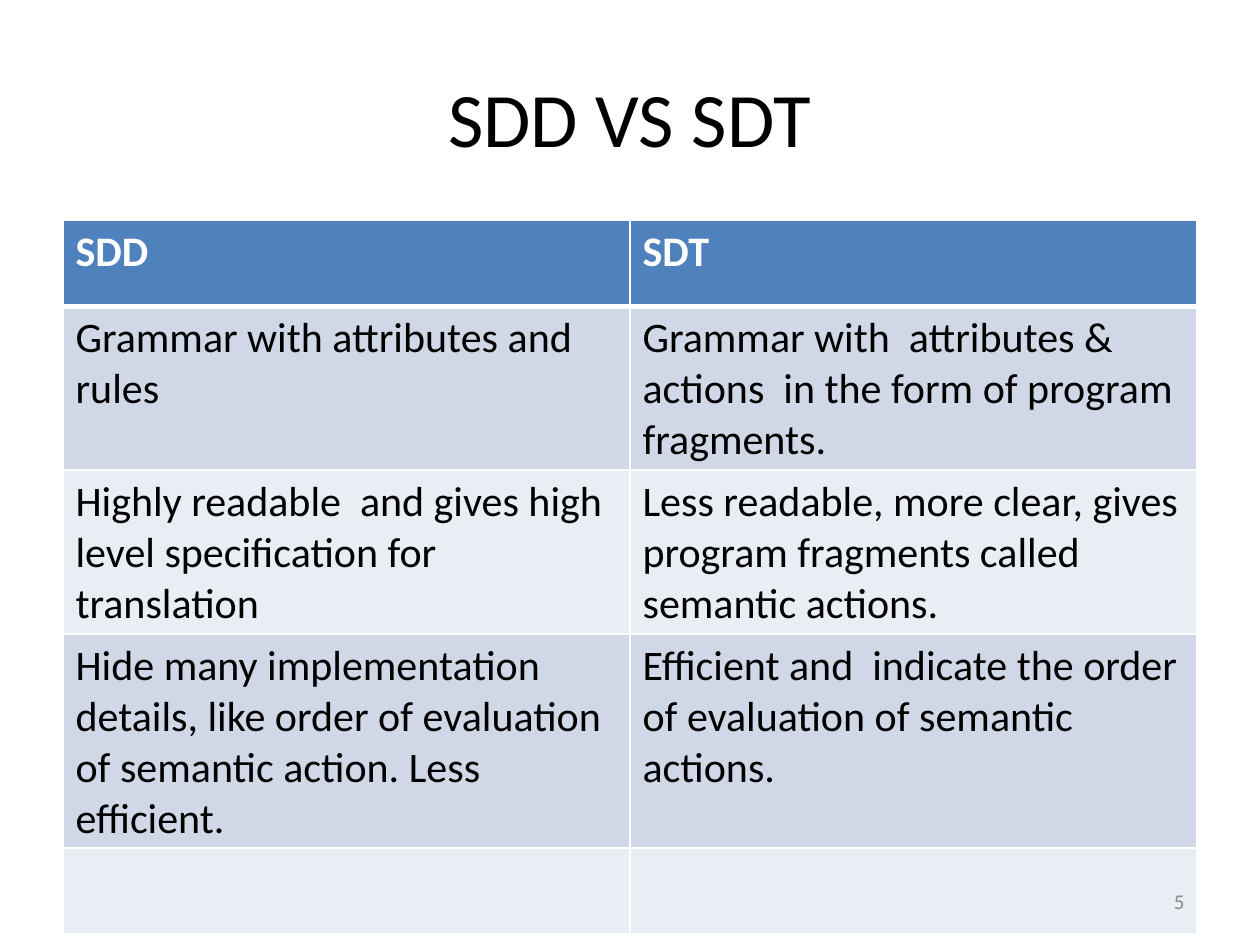
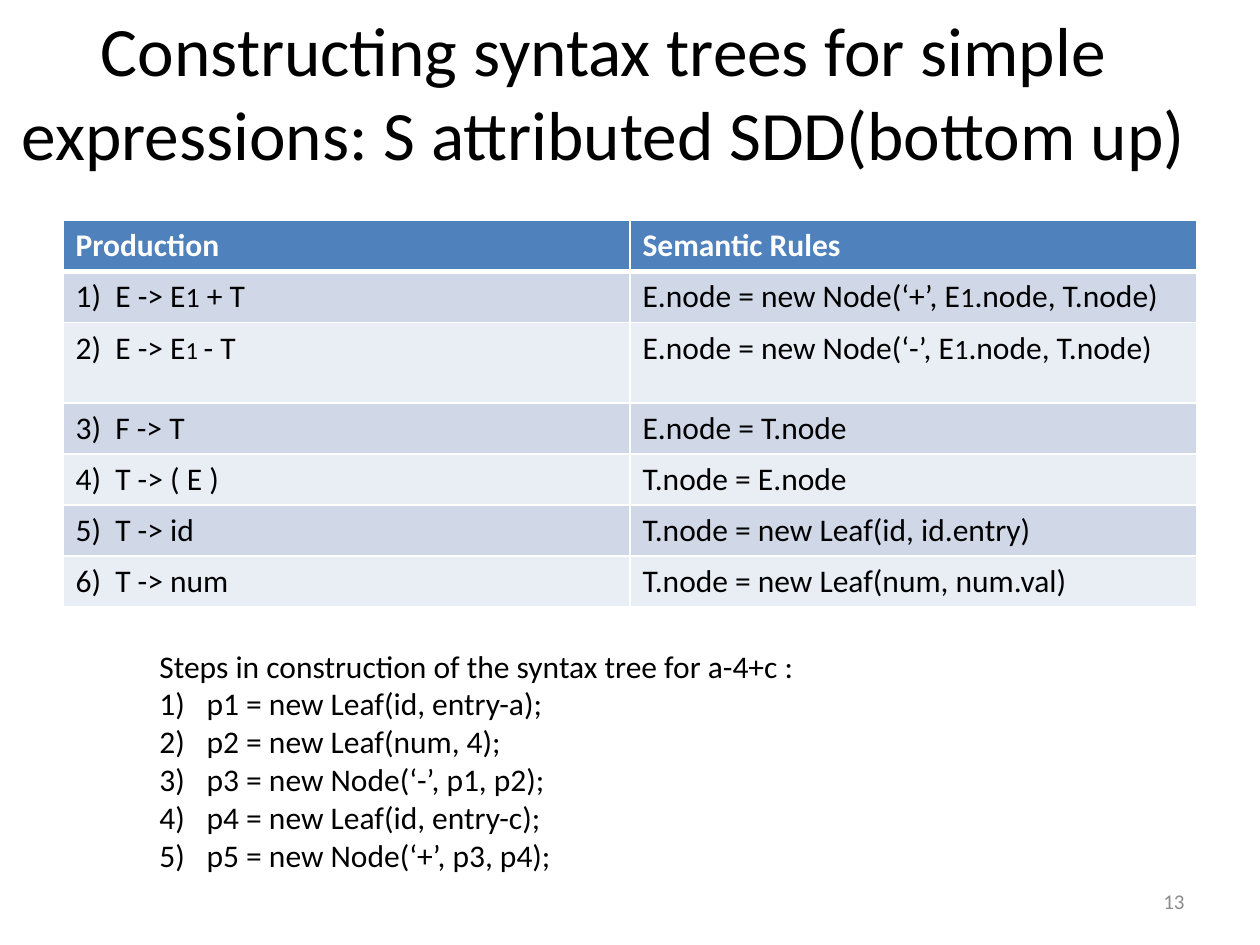
"""Builds two slides on syntax-directed definitions and translation schemes."""
from lxml import etree
from pptx import Presentation
from pptx.dml.color import RGBColor
from pptx.enum import text
from pptx.oxml import ns
from pptx.util import Pt

FONT = "Calibri"
BLACK, WHITE, GREY = "000000", "FFFFFF", "8C8C8C"
HEADER, BANDS = "4F81BD", ("D0D8E8", "E9EDF4")
LEFT, TABLE_TOP, COLUMN = 36, 126, 324


def set_font(paragraph, size, color, bold=False):
    paragraph.font.name = FONT
    paragraph.font.size = Pt(size)
    paragraph.font.bold = bold
    paragraph.font.color.rgb = RGBColor.from_string(color)


def add_text(slide, box, lines, size, color, align, anchor):
    shape = slide.shapes.add_textbox(*[Pt(length) for length in box])
    frame = shape.text_frame
    frame.word_wrap = True
    frame.vertical_anchor = anchor
    frame.text = "\n".join(lines)
    for paragraph in frame.paragraphs:
        paragraph.alignment = align
        set_font(paragraph, size, color)
    return frame


comparison = [
    ("SDD", "SDT"),
    ("Grammar with attributes and rules",
     "Grammar with  attributes & actions  in the form of program fragments."),
    ("Highly readable  and gives high  level specification for translation",
     "Less readable, more clear, gives program fragments called semantic actions."),
    ("Hide many implementation details, like order of evaluation of semantic action. "
     "Less efficient.",
     "Efficient and  indicate the order of evaluation of semantic actions."),
    ("", ""),
]
productions = [
    ("Production", "Semantic Rules"),
    ([("1)  E -> E", 18), ("1", 16), (" + T", 18)],
     [("E.node = new Node(‘+’, E", 18), ("1", 16), (".node, T.node)", 18)]),
    ([("2)  E -> E", 18), ("1 ", 14), ("- T", 18)],
     [("E.node = new Node(‘-’, E", 18), ("1", 16), (".node, T.node)", 18)]),
    ("3)  F -> T", "E.node = T.node"),
    ("4)  T -> ( E )", "T.node = E.node"),
    ("5)  T -> id", "T.node = new Leaf(id, id.entry)"),
    ("6)  T -> num", "T.node = new Leaf(num, num.val)"),
]
steps = [
    "Steps in construction of the syntax tree for a-4+c :",
    "p1 = new Leaf(id, entry-a);",
    "p2 = new Leaf(num, 4);",
    "p3 = new Node(‘-’, p1, p2);",
    "p4 = new Leaf(id, entry-c);",
    "p5 = new Node(‘+’, p3, p4);",
]
pages = [
    ("SDD VS SDT", (LEFT, 21.6, 648, 90), 44, "5",
     comparison, 24, [49, 85, 85, 85, 49]),
    ("Constructing syntax trees for simple expressions: S attributed SDD(bottom up)",
     (-12, 1.4, 714, 101), 39.6, "13",
     productions, 18, [29.2, 29.2, 45.8] + [29.2] * 4),
]

presentation = Presentation()
presentation.slide_width, presentation.slide_height = Pt(720), Pt(540)

for title, title_box, title_size, number, rows, size, heights in pages:
    slide = presentation.slides.add_slide(presentation.slide_layouts[6])
    add_text(slide, title_box, [title], title_size, BLACK,
             text.PP_ALIGN.CENTER, text.MSO_ANCHOR.MIDDLE)

    table = slide.shapes.add_table(len(rows), 2, Pt(LEFT), Pt(TABLE_TOP),
                                   Pt(2 * COLUMN), Pt(sum(heights))).table
    for row, (contents, height) in enumerate(zip(rows, heights)):
        table.rows[row].height = Pt(height)
        for column, content in enumerate(contents):
            cell = table.cell(row, column)
            paragraph = cell.text_frame.paragraphs[0]
            set_font(paragraph, size, BLACK if row else WHITE, bold=row == 0)
            if isinstance(content, str):
                paragraph.text = content
            else:
                for piece, piece_size in content:
                    run = paragraph.add_run()
                    run.text = piece
                    run.font.size = Pt(piece_size)
            cell.fill.solid()
            cell.fill.fore_color.rgb = RGBColor.from_string(
                BANDS[(row - 1) % 2] if row else HEADER)
            properties = cell._tc.get_or_add_tcPr()
            for index, side in enumerate("LRTB"):
                thick = (row, side) in ((0, "B"), (1, "T"))
                line = etree.Element(ns.qn("a:ln" + side), w=str(Pt(3 if thick else 1)))
                fill = etree.SubElement(line, ns.qn("a:solidFill"))
                etree.SubElement(fill, ns.qn("a:srgbClr"), val=WHITE)
                properties.insert(index, line)

    add_text(slide, (516, 500.4, 168, 28.8), [number], 12, GREY,
             text.PP_ALIGN.RIGHT, text.MSO_ANCHOR.MIDDLE)

frame = add_text(slide, (84, 366, 450, 160), steps, 18, BLACK,
                 text.PP_ALIGN.LEFT, text.MSO_ANCHOR.TOP)
for paragraph in frame.paragraphs[1:]:
    properties = paragraph._p.get_or_add_pPr()
    properties.set("marL", str(Pt(27)))
    properties.set("indent", str(Pt(-27)))
    properties.insert(0, etree.Element(ns.qn("a:buAutoNum"), type="arabicParenR"))

presentation.save("out.pptx")
